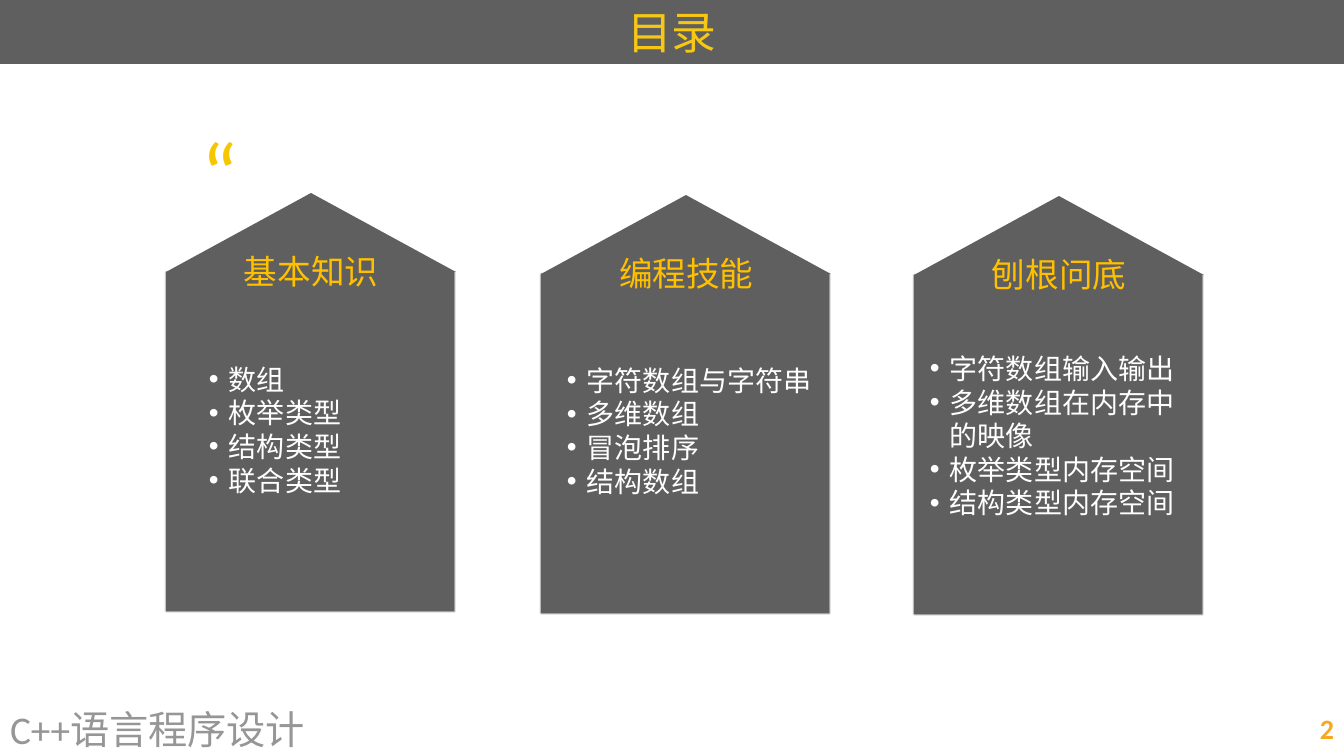
from dataclasses import dataclass

from lxml import etree
from pptx import Presentation
from pptx.dml.color import RGBColor
from pptx.enum.shapes import MSO_SHAPE
from pptx.enum.text import MSO_ANCHOR, MSO_AUTO_SIZE, PP_ALIGN
from pptx.oxml.ns import qn
from pptx.util import Pt

RECT = MSO_SHAPE.RECTANGLE
LEFT, CENTER, RIGHT = PP_ALIGN.LEFT, PP_ALIGN.CENTER, PP_ALIGN.RIGHT
MIDDLE, BOTTOM = MSO_ANCHOR.MIDDLE, MSO_ANCHOR.BOTTOM
GROW, FIXED = MSO_AUTO_SIZE.SHAPE_TO_FIT_TEXT, MSO_AUTO_SIZE.NONE
SCALE = 914400 / 100.8


def px(n):
    return round(n * SCALE)


@dataclass(frozen=True)
class Theme:
    latin: str = "Calibri"
    han: str = "Noto Sans CJK SC"
    panel: str = "5F5F5F"
    title: str = "F6C813"
    quote: str = "F6C700"
    head: str = "FFC000"
    body: str = "FFFFFF"
    foot: str = "969696"
    page: str = "F8A720"
    title_pt: float = 32
    quote_pt: float = 62.5
    head_pt: float = 24
    body_pt: float = 20
    foot_pt: float = 28
    page_pt: float = 20


def add_bullet(para):
    para.level = 1
    props = para._p.get_or_add_pPr()
    props.set("marL", str(px(20)))
    props.set("indent", str(px(-20)))
    etree.SubElement(props, qn("a:buFont"), typeface="Arial")
    etree.SubElement(props, qn("a:buChar"), char="•")


def write(frame, text, *, size, color, font, han, align=LEFT, anchor=MIDDLE,
          inset=(10, 5), bold=False, bullet=False, line=None, fit=FIXED):
    """Fill a text frame, one paragraph for each line of text."""
    frame.word_wrap = True
    frame.auto_size = fit
    frame.vertical_anchor = anchor
    frame.margin_left = frame.margin_right = px(inset[0])
    frame.margin_top = frame.margin_bottom = px(inset[1])
    for i, words in enumerate(text.split("\n")):
        para = frame.paragraphs[0] if i == 0 else frame.add_paragraph()
        if bullet:
            add_bullet(para)
        para.alignment = align
        if line:
            para.line_spacing = Pt(line)
        run = para.add_run()
        run.text = words
        run.font.size = Pt(size)
        run.font.bold = bold
        run.font.color.rgb = RGBColor.from_string(color)
        run.font.name = font
        etree.SubElement(run._r.get_or_add_rPr(), qn("a:ea"), typeface=han)


class Deck:
    def __init__(self, theme):
        self.theme = theme
        self.show = Presentation()
        self.show.slide_width, self.show.slide_height = px(1344), px(756)
        self.slide = self.show.slides.add_slide(self.show.slide_layouts[6])

    def paint(self, shape):
        shape.shadow.inherit = False
        shape.fill.solid()
        shape.fill.fore_color.rgb = RGBColor.from_string(self.theme.panel)
        shape.line.fill.background()
        return shape

    def block(self, x, y, w, h):
        return self.paint(self.slide.shapes.add_shape(
            RECT, px(x), px(y), px(w), px(h)))

    def shade(self, shape):
        effects = shape._element.spPr.find(qn("a:effectLst"))
        shadow = etree.SubElement(effects, qn("a:outerShdw"), blurRad="12700",
                                  dist="0", dir="5400000", rotWithShape="0")
        tone = etree.SubElement(shadow, qn("a:srgbClr"), val="000000")
        etree.SubElement(tone, qn("a:alpha"), val="50000")

    def roof(self, x, y, w, h):
        path = self.slide.shapes.build_freeform(px(x + w / 2), px(y))
        path.add_line_segments([(px(x + w), px(y + h)), (px(x), px(y + h))])
        return self.paint(path.convert_to_shape())

    def text(self, x, y, w, h, words, **style):
        box = self.slide.shapes.add_textbox(px(x), px(y), px(w), px(h))
        style = {"font": self.theme.latin, "han": self.theme.han} | style
        write(box.text_frame, words, **style)

    def house(self, x, y, head, area, items):
        t = self.theme
        tight = {"font": t.han, "inset": (6, 6), "fit": GROW}
        self.shade(self.block(x, y + 79, 288, 339))
        self.roof(x, y, 290, 79)
        self.text(*area, "\n".join(items), size=t.body_pt, color=t.body,
                  bullet=True, **tight)
        self.text(x + 72, y + 52, 159, 52, head, size=t.head_pt,
                  color=t.head, **tight)


def main():
    t = Theme()
    deck = Deck(t)

    # Title bar
    bar = deck.block(0, 0, 1344, 64)
    write(bar.text_frame, "目录", size=t.title_pt, color=t.title,
          font=t.latin, han=t.han, align=CENTER)

    # Footer and page number
    deck.text(0, 701, 885, 55, "C++语言程序设计", size=t.foot_pt, color=t.foot)
    deck.text(963, 701, 381, 55, "2", size=t.page_pt, color=t.page,
              align=RIGHT, bold=True)

    # Three topic houses: left, top, heading, list area, list
    houses = [
        (166, 193, "基本知识", (203, 356, 179, 147),
         ["数组", "枚举类型", "结构类型", "联合类型"]),
        (541, 195, "编程技能", (561, 357, 260, 147),
         ["字符数组与字符串", "多维数组", "冒泡排序", "结构数组"]),
        (914, 196, "刨根问底", (924, 345, 270, 181),
         ["字符数组输入输出", "多维数组在内存中的映像",
          "枚举类型内存空间", "结构类型内存空间"]),
    ]
    for house in houses:
        deck.house(*house)

    # Quote mark
    deck.text(196, 178, 83, 51, "“", size=t.quote_pt, color=t.quote,
              han=t.latin, anchor=BOTTOM, inset=(6, 6), line=40)

    deck.show.save("out.pptx")


if __name__ == "__main__":
    main()
